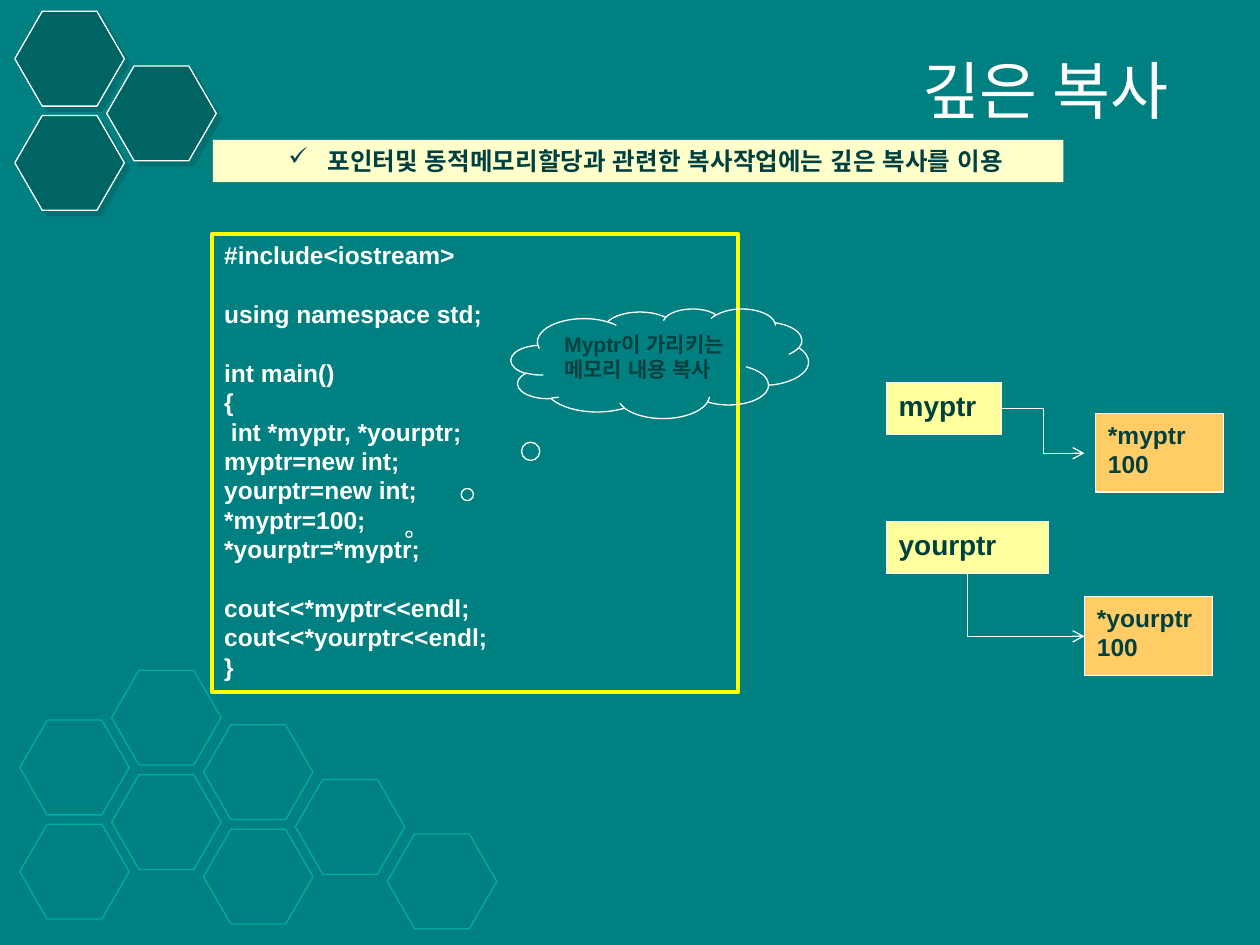
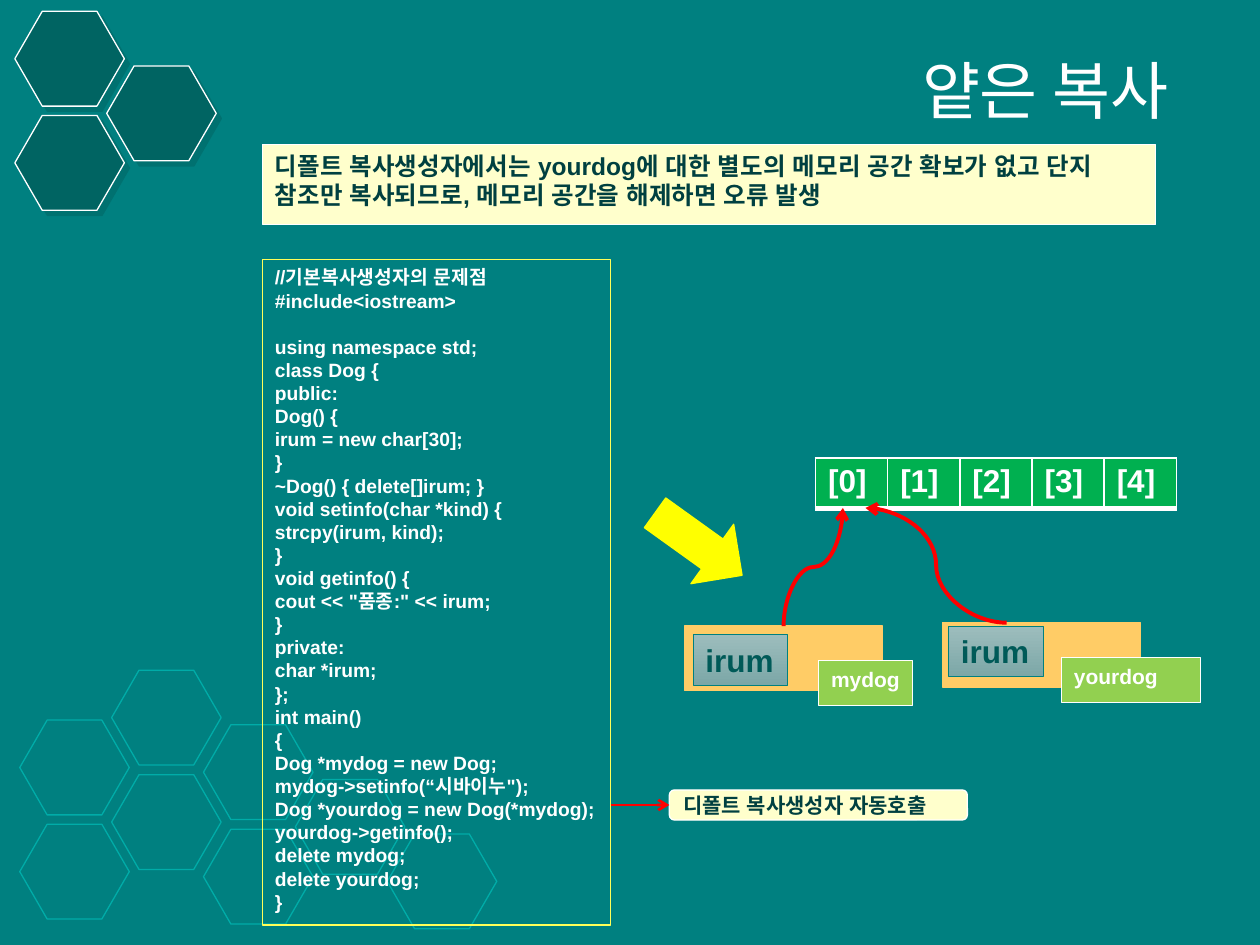
from dataclasses import dataclass
from math import cos, radians, sin

from lxml.etree import SubElement
from pptx import Presentation
from pptx.dml.color import RGBColor as RGB
from pptx.enum.shapes import MSO_CONNECTOR as LINK, MSO_SHAPE as SHAPE
from pptx.enum.text import MSO_ANCHOR as ANCHOR, PP_ALIGN as ALIGN
from pptx.oxml.ns import qn
from pptx.util import Pt


@dataclass(frozen=True)
class Theme:
    back: str = "008080"
    hex_fill: str = "006462"
    hex_line: str = "00ACA8"
    white: str = "FFFFFF"
    ink: str = "004040"
    irum_ink: str = "005A58"
    cream: str = "FFFFCC"
    pale_yellow: str = "FFFF9E"
    frame_yellow: str = "FFFF59"
    yellow: str = "FFFF00"
    orange: str = "FFCC66"
    lime: str = "92D050"
    green: str = "00B050"
    red: str = "FF0000"
    irum_top: str = "9DBDBD"
    irum_bottom: str = "7CA7A7"
    font: str = "Arial"
    title_font: str = "Noto Sans CJK KR"
    title: int = 36
    large: int = 18
    label: int = 16
    body: int = 14
    small: int = 12
    code: int = 11
    leading: float = 1.2


T = Theme()


def text(s, content, box, shape=SHAPE.RECTANGLE, fill=None, line=None, width=0.75,
         size=T.body, color=T.ink, font=T.font, bold=True, align=ALIGN.LEFT,
         anchor=ANCHOR.TOP, wrap=True, bullet=None):
    """Add a shape with its text; an empty line becomes space before the next one."""
    sp = s.shapes.add_shape(shape, *map(Pt, box))
    sp.shadow.inherit = False
    if fill:
        sp.fill.solid()
        sp.fill.fore_color.rgb = RGB.from_string(fill)
    else:
        sp.fill.background()
    if line:
        sp.line.color.rgb = RGB.from_string(line)
        sp.line.width = Pt(width)
    else:
        sp.line.fill.background()
    tf = sp.text_frame
    tf.word_wrap, tf.vertical_anchor = wrap, anchor
    p, gap = None, 0
    for row in content.splitlines():
        if not row:
            gap += size * T.leading
            continue
        p = tf.add_paragraph() if p is not None else tf.paragraphs[0]
        p.alignment = align
        if gap:
            p.space_before = Pt(gap)
            gap = 0
        if bullet:
            pPr = p._p.get_or_add_pPr()
            pPr.set("marL", str(Pt(58.3)))
            pPr.set("indent", str(Pt(-22.3)))
            SubElement(pPr, qn("a:buChar")).set("char", bullet)
        r = p.add_run()
        r.text = row
        r.font.name, r.font.size, r.font.bold = font, Pt(size), bold
        r.font.color.rgb = RGB.from_string(color)
        SubElement(r._r.get_or_add_rPr(), qn("a:ea")).set("typeface", font)
    return sp


def link(s, kind, begin, end, color, width, turn=0):
    """Add an arrow; turn rotates its frame so that it can leave vertically."""
    (x1, y1), (x2, y2) = begin, end
    mx, my, a = (x1 + x2) / 2, (y1 + y2) / 2, radians(turn)
    dx = ((x2 - x1) * cos(a) + (y2 - y1) * sin(a)) / 2
    dy = ((y2 - y1) * cos(a) - (x2 - x1) * sin(a)) / 2
    c = s.shapes.add_connector(kind, Pt(mx - dx), Pt(my - dy), Pt(mx + dx), Pt(my + dy))
    c.line.color.rgb = RGB.from_string(color)
    c.line.width = Pt(width)
    spPr = c.element.spPr
    if turn:
        spPr.find(qn("a:xfrm")).set("rot", str(turn * 60000))
    SubElement(spPr.find(qn("a:ln")), qn("a:tailEnd")).set("type", "arrow")
    SubElement(spPr, qn("a:effectLst"))
    return c


prs = Presentation()
prs.slide_width, prs.slide_height = Pt(720), Pt(540)

# Shared background, honeycombs and title
HEX_W, HEX_H, STEP_X, STEP_Y = 62.6, 54.2, 52.5, 31.2
CHAINS = [  # left, top, count down the diagonal, dark
    (63.8, 383, 4, False), (11.3, 411.5, 3, False), (11.3, 471, 1, False),
    (8.5, 66, 1, True), (8.5, 6.5, 2, True),
]
slides = []
for title in ("깊은 복사", "얕은 복사"):
    s = prs.slides.add_slide(prs.slide_layouts[6])
    s.background.fill.solid()
    s.background.fill.fore_color.rgb = RGB.from_string(T.back)
    for left, top, count, dark in CHAINS:
        for i in range(count):
            sp = text(s, "", (left + i * STEP_X, top + i * STEP_Y, HEX_W, HEX_H),
                      SHAPE.HEXAGON, fill=T.hex_fill if dark else None,
                      line=T.white if dark else T.hex_line)
            sp.adjustments[0] = 0.289
            if dark:
                effects = sp.element.spPr.find(qn("a:effectLst"))
                shadow = SubElement(effects, qn("a:outerShdw"), dist=str(Pt(4.2)),
                                    dir="2700000", algn="ctr", rotWithShape="0")
                tint = SubElement(shadow, qn("a:srgbClr"), val=T.hex_fill)
                SubElement(tint, qn("a:alpha"), val="50000")
    text(s, title, (133, 20, 541.5, 62.6), size=T.title, color=T.white, bold=False,
         font=T.title_font, align=ALIGN.RIGHT, anchor=ANCHOR.MIDDLE)
    slides.append(s)
deep, shallow = slides

# Deep copy: code, headline and callout
DEEP_CODE = """#include<iostream>

using namespace std;

int main()
{
 int *myptr, *yourptr;
myptr=new int;
yourptr=new int;
*myptr=100;
*yourptr=*myptr;

cout<<*myptr<<endl;
cout<<*yourptr<<endl;
}"""
text(deep, DEEP_CODE, (121, 133.6, 300.6, 262), line=T.yellow, width=2.25, color=T.white)
text(deep, "포인터및 동적메모리할당과 관련한 복사작업에는 깊은 복사를 이용",
     (121.7, 79.9, 486, 24.2), fill=T.cream, wrap=False, bullet="✓")
cloud = text(deep, "Myptr이 가리키는 메모리 내용 복사", (292, 176.4, 170, 62.6),
             SHAPE.CLOUD_CALLOUT, line=T.white, size=T.small)
cloud.adjustments[0], cloud.adjustments[1] = -0.843, 1.56

# Deep copy: each pointer has its own memory
for name, top, width in (("myptr", 218.6, 66), ("yourptr", 298, 92.7)):
    text(deep, name, (506.5, top, width, 29.8), fill=T.pale_yellow, line=T.white,
         size=T.label)
for name, left, top in (("*myptr", 626, 236.2), ("*yourptr", 619.7, 341)):
    text(deep, f"{name}\n100", (left, top, 73, 45), fill=T.orange, line=T.white)
link(deep, LINK.ELBOW, (572.5, 233.6), (619.7, 259), T.white, 0.75)
corner = link(deep, LINK.ELBOW, (552.8, 327.8), (619.7, 363.6), T.white, 0.75, turn=270)
corner.element.spPr.find(qn("a:prstGeom")).set("prst", "bentConnector2")

# Shallow copy: headline and code
SHALLOW_CODE = """//기본복사생성자의 문제점
#include<iostream>

using namespace std;
class Dog {
public:
Dog() {
irum = new char[30];
}
~Dog() { delete[]irum; }
void setinfo(char *kind) {
strcpy(irum, kind);
}
void getinfo() {
cout << "품종:" << irum;
}
private:
char *irum;
};
int main()
{
Dog *mydog = new Dog;
mydog->setinfo(“시바이누");
Dog *yourdog = new Dog(*mydog);
yourdog->getinfo();
delete mydog;
delete yourdog;
}"""
text(shallow, SHALLOW_CODE, (150, 148.3, 199, 380.2), line=T.frame_yellow, size=T.code,
     color=T.white, wrap=False)
text(shallow, "디폴트 복사생성자에서는 yourdog에 대한 별도의 메모리 공간 확보가 없고 단지 "
     "참조만 복사되므로, 메모리 공간을 해제하면 오류 발생",
     (150, 82.6, 510.5, 45.6), fill=T.cream, line=T.white)

# Shallow copy: note on the automatic call
note = text(shallow, "디폴트 복사생성자 자동호출", (382.5, 451.4, 170.3, 17.2),
            SHAPE.ROUNDED_RECTANGLE, fill=T.cream, line=T.white, size=T.small,
            anchor=ANCHOR.MIDDLE)
link(shallow, LINK.STRAIGHT, (349, 460), (382.5, 460), T.red, 1.5).end_connect(note, 1)
arrow = text(shallow, "", (368.6, 290, 61.2, 41.8), SHAPE.RIGHT_ARROW,
             fill=T.yellow, line=T.yellow)
arrow.rotation = 35.7

# Shallow copy: two objects holding the same pointer
DOGS = [  # name, object corner, irum corner, label frame
    ("mydog", (391, 357.8), (396, 362.5), (467.8, 377.4, 53.8, 25.8)),
    ("yourdog", (538.5, 355.9), (542, 357.8), (606.6, 375.8, 79.5, 25.8)),
]
for name, corner, irum_corner, frame in DOGS:
    text(shallow, "", (*corner, 113.3, 36.7), fill=T.orange, line=T.orange)
    sp = text(shallow, "irum", (*irum_corner, 54, 29), line=T.back, width=0.5,
              size=T.large, color=T.irum_ink, wrap=False)
    sp.fill.gradient()
    sp.fill.gradient_angle = 270
    for stop, shade in zip(sp.fill.gradient_stops, (T.irum_top, T.irum_bottom)):
        stop.color.rgb = RGB.from_string(shade)
    text(shallow, name, frame, fill=T.lime, line=T.white, size=T.small, color=T.white)

# Shallow copy: the shared array
CELLS, CELL_W, CELL_H = 5, 41.25, 28.8
frame = shallow.shapes.add_table(1, CELLS, Pt(466), Pt(261.6), Pt(CELLS * CELL_W), Pt(CELL_H))
table = frame.table
table.rows[0].height = Pt(CELL_H)
for i in range(CELLS):
    table.columns[i].width = Pt(CELL_W)
    cell = table.cell(0, i)
    tcPr = cell._tc.get_or_add_tcPr()
    for side, width in (("lnL", 1), ("lnR", 1), ("lnT", 1), ("lnB", 3)):
        ln = SubElement(tcPr, qn(f"a:{side}"), w=str(Pt(width)))
        SubElement(SubElement(ln, qn("a:solidFill")), qn("a:srgbClr"), val=T.white)
    cell.fill.solid()
    cell.fill.fore_color.rgb = RGB.from_string(T.green)
    r = cell.text_frame.paragraphs[0].add_run()
    r.text = f"[{i}]"
    r.font.name, r.font.size, r.font.bold = T.font, Pt(T.large), True
    r.font.color.rgb = RGB.from_string(T.white)
link(shallow, LINK.CURVE, (447.8, 357.8), (481.7, 290.3), T.red, 2.25, turn=90)
link(shallow, LINK.CURVE, (575.3, 355.9), (494.6, 290.3), T.red, 2.25)

prs.save("out.pptx")
